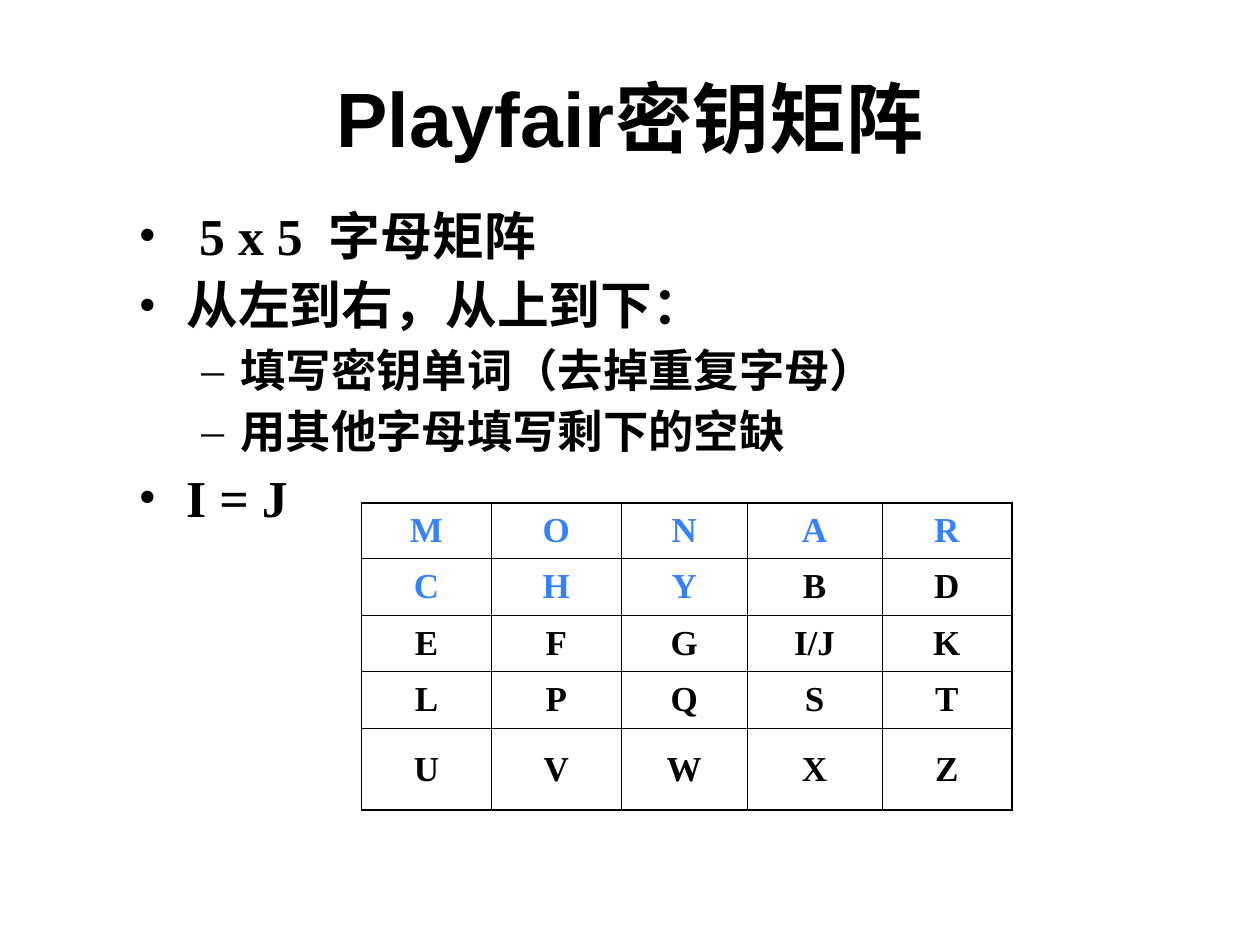
"""Build the Playfair key matrix slide."""
from lxml import etree
from pptx import Presentation
from pptx import util as u
from pptx.dml.color import RGBColor
from pptx.enum import text
from pptx.oxml import ns

TITLE = "Playfair密钥矩阵"
BULLETS = [
    (0, " 5 x 5  字母矩阵"),
    (0, "从左到右，从上到下："),
    (1, "填写密钥单词（去掉重复字母）"),
    (1, "用其他字母填写剩下的空缺"),
    (0, "I = J"),
]
KEYWORD = "MONARCHY"
MATRIX = ["M O N A R", "C H Y B D", "E F G I/J K", "L P Q S T", "U V W X Z"]
COL_WIDTHS = [1.03, 1.03, 1, 1.07, 1.03]
ROW_HEIGHTS = [0.44, 0.45, 0.45, 0.45, 0.65]
LEVELS = [
    dict(size=29.6, before=8, bullet="•", margin=0.38, indent=-0.38),
    dict(size=25.9, before=7, bullet="–", margin=0.81, indent=-0.31),
]
THEME = dict(head="Arial", body="Times New Roman", ink="000000", key="3581FD",
             title=44, cell=20, outer=1.08, inner=0.45)


def sub(parent, tag, **attrs):
    return etree.SubElement(parent, ns.qn(tag), attrs)


def write(p, words, size, font=THEME["body"], color=THEME["ink"], align=None,
          before=0, spacing=None, bullet=None, margin=0, indent=0):
    p.alignment, p.space_before, p.line_spacing = align, u.Pt(before), spacing
    r = p.add_run()
    r.text = words
    r.font.name, r.font.size, r.font.bold = font, u.Pt(size), True
    r.font.color.rgb = RGBColor.from_string(color)
    if bullet:
        pPr = p._p.get_or_add_pPr()
        pPr.set("marL", str(u.Inches(margin)))
        pPr.set("indent", str(u.Inches(indent)))
        sub(pPr, "a:buFont", typeface=font)
        sub(pPr, "a:buChar", char=bullet)


def add_box(s, left, top, width, height, anchor):
    tf = s.shapes.add_textbox(*map(u.Inches, (left, top, width, height))).text_frame
    tf.word_wrap, tf.vertical_anchor = True, anchor
    return tf


def set_borders(cell, row, col):
    last_row, last_col = len(MATRIX) - 1, len(COL_WIDTHS) - 1
    edges = {"L": col == 0, "R": col == last_col, "T": row == 0, "B": row == last_row}
    for side, is_outer in edges.items():
        width = u.Pt(THEME["outer" if is_outer else "inner"])
        ln = sub(cell._tc.get_or_add_tcPr(), f"a:ln{side}", w=str(width))
        sub(sub(ln, "a:solidFill"), "a:srgbClr", val=THEME["ink"])


def add_matrix(s, left, top):
    size = sum(COL_WIDTHS), sum(ROW_HEIGHTS)
    table = s.shapes.add_table(len(ROW_HEIGHTS), len(COL_WIDTHS),
                               *map(u.Inches, (left, top, *size))).table
    table.first_row = table.horz_banding = False
    for column, width in zip(table.columns, COL_WIDTHS):
        column.width = u.Inches(width)
    for i, (line, height) in enumerate(zip(MATRIX, ROW_HEIGHTS)):
        table.rows[i].height = u.Inches(height)
        for j, letter in enumerate(line.split()):
            cell = table.cell(i, j)
            cell.vertical_anchor = text.MSO_ANCHOR.MIDDLE
            set_borders(cell, i, j)
            cell.fill.background()
            color = THEME["key" if letter in KEYWORD else "ink"]
            write(cell.text_frame.paragraphs[0], letter, THEME["cell"],
                  color=color, align=text.PP_ALIGN.CENTER, before=5)


def main():
    prs = Presentation()
    prs.slide_width, prs.slide_height = u.Inches(10), u.Inches(7.5)
    s = prs.slides.add_slide(prs.slide_layouts[6])
    tf = add_box(s, 0.5, 0.3, 9, 1.25, text.MSO_ANCHOR.MIDDLE)
    write(tf.paragraphs[0], TITLE, THEME["title"], font=THEME["head"],
          align=text.PP_ALIGN.CENTER)
    tf = add_box(s, 1, 1.62, 9, 2.97, text.MSO_ANCHOR.TOP)
    for i, (level, words) in enumerate(BULLETS):
        p = tf.add_paragraph() if i else tf.paragraphs[0]
        p.level = level
        write(p, words, spacing=0.9, **LEVELS[level])
    add_matrix(s, 2.87, 3.99)
    prs.save("out.pptx")


if __name__ == "__main__":
    main()
